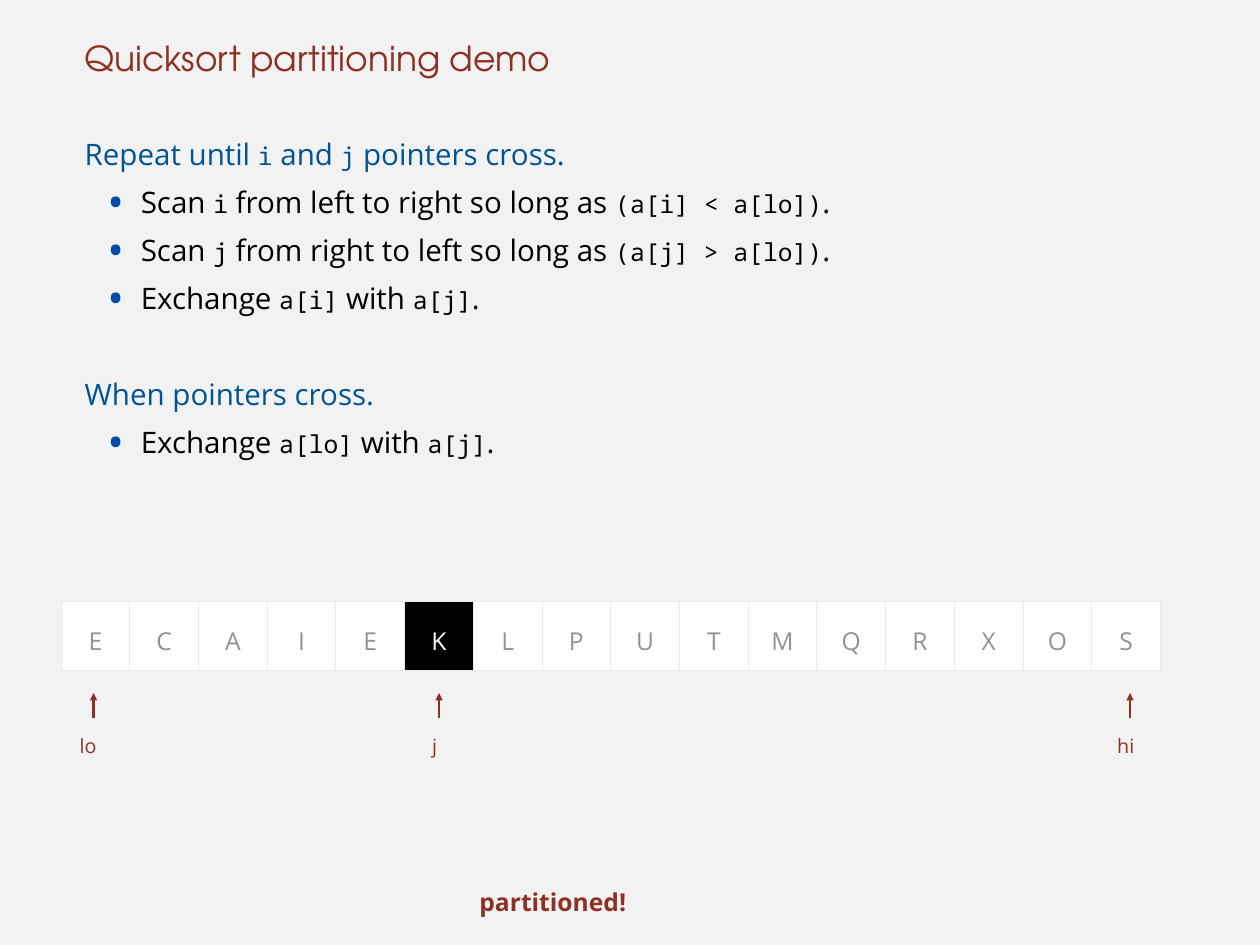
from lxml import etree
from pptx import Presentation
from pptx import util as u
from pptx.dml.color import RGBColor
from pptx.enum import shapes, text
from pptx.oxml.ns import qn

PX = 10160  # EMU per px, 90 px to the inch

PAPER = RGBColor(0xF2, 0xF2, 0xF2)
RED = RGBColor(0x8D, 0x31, 0x24)
BLUE = RGBColor(0x00, 0x54, 0x93)
BULLET = RGBColor(0x00, 0x48, 0xAA)
GREY = RGBColor(0x92, 0x92, 0x92)
RULE = RGBColor(0xE7, 0xEA, 0xEB)
BLACK = RGBColor(0, 0, 0)
WHITE = RGBColor(255, 255, 255)

SANS, MONO, DISPLAY = "Open Sans", "Noto Sans Mono", "TeX Gyre Adventor"


def px(n):
    return u.Emu(n * PX)


def sub(parent, tag, **attrs):
    el = etree.SubElement(parent, qn(tag))
    for name, value in attrs.items():
        el.set(name, str(value))
    return el


def write(p, content, size=24, font=SANS, color=BLACK, bold=False,
          spacing=1.5, before=0, left=6, hang=0, align=text.PP_ALIGN.LEFT):
    """Fill a paragraph; parts between bars are set as code."""
    p.alignment = align
    p.line_spacing = spacing
    p.space_before = u.Pt(before)
    pPr = p._p.get_or_add_pPr()
    pPr.set("marL", str(px(left)))
    pPr.set("indent", str(px(-hang)))
    for n, part in enumerate(content.split("|")):
        code = n % 2 == 1
        r = p.add_run()
        r.text = part
        r.font.name = MONO if code else font
        r.font.size = u.Pt(20 if code else size)
        r.font.color.rgb = color
        r.font.bold = bold


class Deck:
    def __init__(self, width, height):
        self.prs = Presentation()
        self.prs.slide_width, self.prs.slide_height = px(width), px(height)
        self.s = self.prs.slides.add_slide(self.prs.slide_layouts[6])
        self.s.background.fill.solid()
        self.s.background.fill.fore_color.rgb = PAPER

    def box(self, x, y, w, h, anchor=text.MSO_ANCHOR.MIDDLE):
        sp = self.s.shapes.add_textbox(px(x), px(y), px(w), px(h))
        tf = sp.text_frame
        tf.word_wrap = True
        tf.vertical_anchor = anchor
        tf.margin_left = tf.margin_right = tf.margin_top = tf.margin_bottom = 0
        return tf

    def label(self, content, x, y, w, h, **style):
        write(self.box(x, y, w, h).paragraphs[0], content, color=RED, **style)

    def outline(self, x, y, w, h, lines):
        tf = self.box(x, y, w, h, text.MSO_ANCHOR.TOP)
        for n, (level, content, before) in enumerate(lines):
            p = tf.add_paragraph() if n else tf.paragraphs[0]
            if level == 0:
                write(p, content, color=BLUE, spacing=u.Pt(39), before=before)
                continue
            write(p, content, spacing=u.Pt(39), before=before, left=63, hang=34)
            p.level = level
            pPr = p._p.get_or_add_pPr()
            sub(sub(pPr, "a:buClr"), "a:srgbClr", val=BULLET)
            sub(pPr, "a:buSzPct", val=150000)
            sub(pPr, "a:buFont", typeface=SANS)
            sub(pPr, "a:buChar", char="•")

    def array(self, x, y, w, h, letters, pivot):
        frame = self.s.shapes.add_table(1, len(letters), px(x), px(y), px(w), px(h))
        tbl = frame.table
        tbl.first_row = tbl.horz_banding = False
        for n, letter in enumerate(letters):
            c = tbl.cell(0, n)
            c.margin_left = c.margin_right = c.margin_top = c.margin_bottom = px(5)
            c.vertical_anchor = text.MSO_ANCHOR.MIDDLE
            write(c.text_frame.paragraphs[0], letter, size=20, spacing=1.3, left=0,
                  color=WHITE if n == pivot else GREY, align=text.PP_ALIGN.CENTER)
            for side in ("a:lnL", "a:lnR", "a:lnT", "a:lnB"):
                ln = sub(c._tc.get_or_add_tcPr(), side, w=u.Pt(1))
                sub(sub(ln, "a:solidFill"), "a:srgbClr", val=RULE)
            c.fill.solid()
            c.fill.fore_color.rgb = BLACK if n == pivot else WHITE

    def arrow(self, x, tip, tail):
        cn = self.s.shapes.add_connector(shapes.MSO_CONNECTOR.STRAIGHT,
                                         px(x), px(tail), px(x), px(tip))
        cn.line.color.rgb = RED
        cn.line.width = u.Pt(2)
        sub(cn.line._get_or_add_ln(), "a:tailEnd", type="triangle")
        sub(cn._element.spPr, "a:effectLst")


def main():
    d = Deck(1280, 960)

    # Title
    tf = d.box(80, 0, 1120, 80, text.MSO_ANCHOR.BOTTOM)
    write(tf.paragraphs[0], "Quicksort partitioning demo", size=28,
          font=DISPLAY, color=RED, spacing=u.Pt(59))

    # Algorithm: level, text, space before
    d.outline(80, 125, 1120, 800, [
        (0, "Repeat until |i| and |j| pointers cross.", 0),
        (1, "Scan |i| from left to right so long as |(a[i] < a[lo])|.", 0),
        (1, "Scan |j| from right to left so long as |(a[j] > a[lo])|.", 0),
        (1, "Exchange |a[i]| with |a[j]|.", 0),
        (0, "When pointers cross.", 39),
        (1, "Exchange |a[lo]| with |a[j]|.", 0),
    ])

    # Array
    d.array(62, 611, 1117, 70, "ECAIEKLPUTMQRXOS", pivot=5)

    # Pointers: name, label left, label width, arrow centre
    for name, x, w, centre in (("lo", 75, 35, 95), ("j", 433, 23, 446),
                               ("hi", 1129, 35, 1148)):
        d.label(name, x, 735, w, 32, size=16)
        d.arrow(centre, 704, 729)

    # Status
    d.label("partitioned!", 481, 889, 167, 39, size=20, bold=True)

    d.prs.save("out.pptx")


if __name__ == "__main__":
    main()
